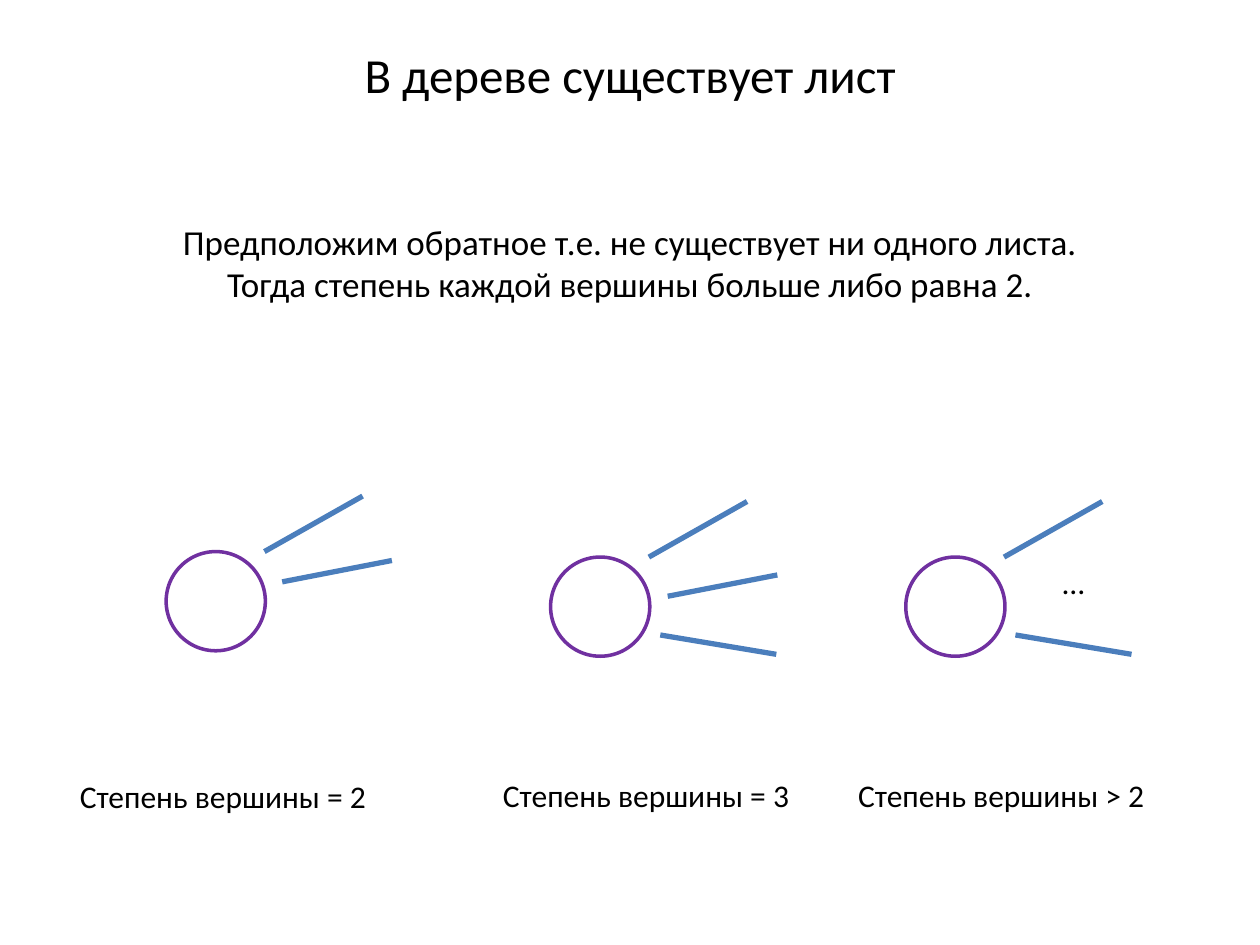
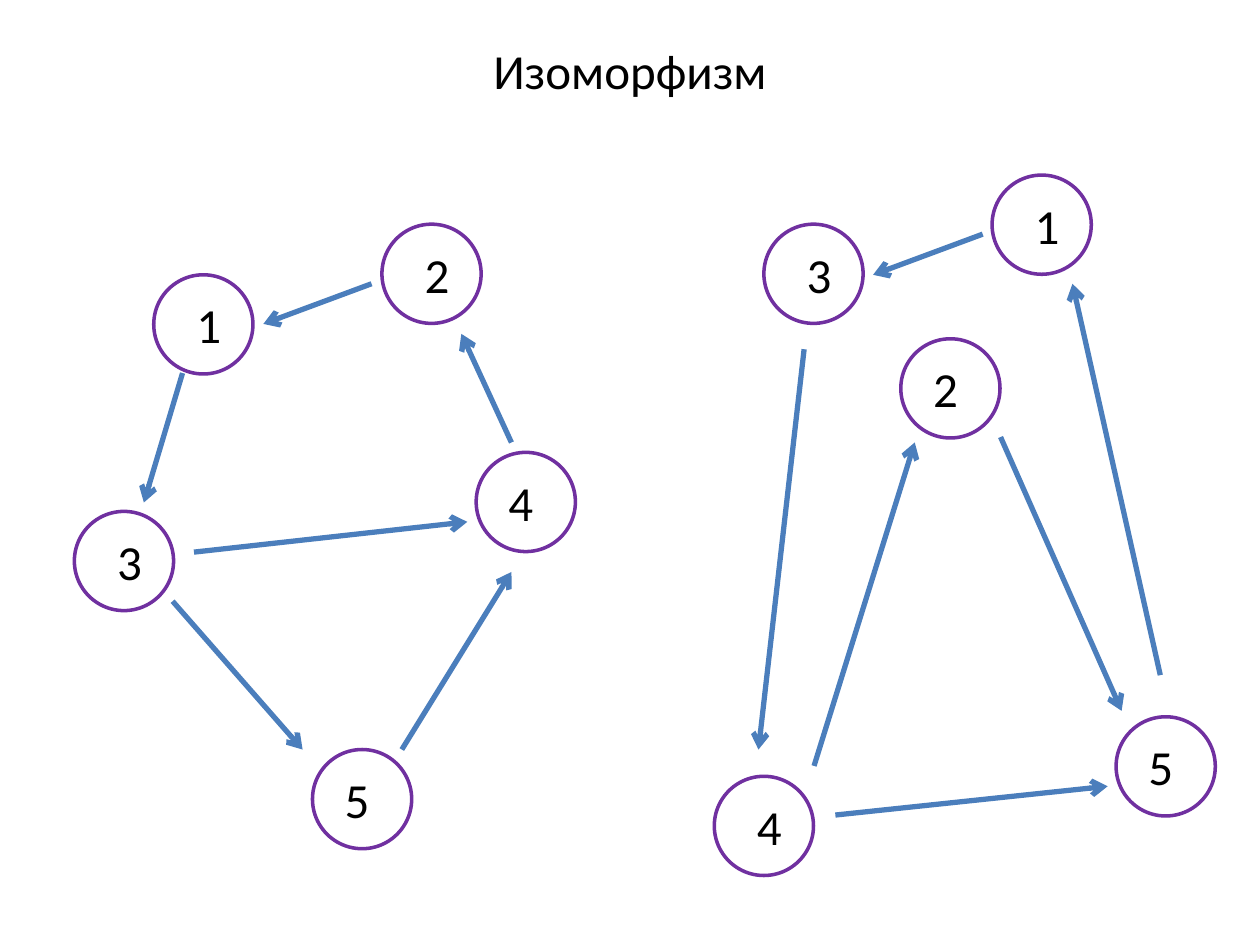
from lxml.etree import SubElement
from pptx import Presentation
from pptx.dml.color import RGBColor
from pptx.enum.shapes import MSO_CONNECTOR as Line, MSO_SHAPE as Shape
from pptx.enum.text import MSO_ANCHOR as Anchor, PP_ALIGN as Align
from pptx.oxml.ns import qn
from pptx.util import Cm, Pt

BLACK = RGBColor(0x00, 0x00, 0x00)
WHITE = RGBColor(0xFF, 0xFF, 0xFF)
PURPLE = RGBColor(0x70, 0x30, 0xA0)
BLUE = RGBColor(0x4B, 0x7E, 0xBC)
FONT = "Calibri"
WIDTH, HEIGHT = 25.4, 19.05
DIAMETER = 2
RIGHT_SHIFT, LEFT_SHIFT = 0.11, -0.1  # number offset from the vertex centre


class GraphDeck:
    """Holds the shared style and the current slide; lengths are in cm."""

    def __init__(self):
        self.prs = Presentation()
        self.prs.slide_width, self.prs.slide_height = Cm(WIDTH), Cm(HEIGHT)
        self.slide = None

    def new_slide(self, title, title_top=0):
        self.slide = self.prs.slides.add_slide(self.prs.slide_layouts[6])
        self.text([title], 0, title_top, WIDTH, 3, 28)

    def text(self, lines, left, top, width, height, size,
             align=Align.CENTER, anchor=Anchor.MIDDLE, inset=0.0, wrap=True):
        box = self.slide.shapes.add_textbox(Cm(left), Cm(top), Cm(width), Cm(height))
        frame = box.text_frame
        frame.word_wrap, frame.vertical_anchor = wrap, anchor
        frame.margin_left = frame.margin_right = Cm(2 * inset)
        frame.margin_top = frame.margin_bottom = Cm(inset)
        for i, line in enumerate(lines):
            paragraph = frame.add_paragraph() if i else frame.paragraphs[0]
            paragraph.alignment = align
            run = paragraph.add_run()
            run.text = line
            run.font.name, run.font.size = FONT, Pt(size)
            run.font.color.rgb = BLACK

    def caption(self, line, left, top, width=6.35):
        self.text([line], left, top, width, 1.02, 18, Align.LEFT, Anchor.TOP,
                  inset=0.13, wrap=False)

    def vertex(self, left, top, number=None, shift=0.0):
        circle = self.slide.shapes.add_shape(
            Shape.OVAL, Cm(left), Cm(top), Cm(DIAMETER), Cm(DIAMETER))
        circle.shadow.inherit = False
        circle.fill.solid()
        circle.fill.fore_color.rgb = WHITE
        circle.line.color.rgb, circle.line.width = PURPLE, Pt(2)
        if number:
            self.text([number], left + 0.5 + shift, top + 0.2, 1, 1.6, 28)

    def edge(self, start, end, arrow=False):
        edge = self.slide.shapes.add_connector(
            Line.STRAIGHT, *(Cm(value) for value in (*start, *end)))
        edge.line.color.rgb, edge.line.width = BLUE, Pt(3)
        if arrow:
            SubElement(edge.line._get_or_add_ln(), qn("a:tailEnd"), type="arrow")
        SubElement(edge._element.spPr, qn("a:effectLst"))

    def graph(self, vertices, arrows):
        for vertex in vertices:
            self.vertex(*vertex)
        for start, end in arrows:
            self.edge(start, end, arrow=True)


# Edge ends, measured from the top left corner of a vertex's frame
UPPER = (1.98, 0), (3.96, -1.12)
SECOND = (2.34, 0.61), (4.55, 0.18)
MIDDLE = (2.36, 0.79), (4.57, 0.36)
LOWER = (2.21, 1.57), (4.55, 1.96)

# Vertex left, top, caption left, caption top, degree, edges
DEGREES = [
    (3.35, 11.12, 1.35, 15.54, "= 2", [UPPER, SECOND]),
    (11.1, 11.23, 9.88, 15.52, "= 3", [UPPER, MIDDLE, LOWER]),
    (18.26, 11.23, 17.04, 15.52, "> 2", [UPPER, LOWER]),
]

# Vertices: left, top, number, number shift; arrows: start, end
LEFT_GRAPH = (
    [(3.1, 5.54, "1", RIGHT_SHIFT), (7.7, 4.52, "2", RIGHT_SHIFT),
     (1.5, 10.31, "3", RIGHT_SHIFT), (9.6, 9.12, "4", LEFT_SHIFT),
     (6.3, 15.11, "5", LEFT_SHIFT)],
    [((7.49, 5.72), (5.31, 6.53)), ((10.31, 8.92), (9.3, 6.73)),
     ((3.68, 7.52), (2.9, 10.13)), ((3.48, 12.12), (6.1, 15.11)),
     ((8.1, 15.11), (10.31, 11.53)), ((3.91, 11.13), (9.42, 10.52))],
)
RIGHT_GRAPH = (
    [(20, 3.53, "1", RIGHT_SHIFT), (18.16, 6.83, "2", LEFT_SHIFT),
     (15.4, 4.52, "3", RIGHT_SHIFT), (14.4, 15.65, "4", RIGHT_SHIFT),
     (22.5, 14.45, "5", LEFT_SHIFT)],
    [((19.81, 4.72), (17.6, 5.54)), ((23.39, 13.61), (21.62, 5.72)),
     ((16.21, 7.04), (15.29, 15.11)), ((16.41, 15.44), (18.44, 8.92)),
     ((20.17, 8.81), (22.61, 14.33)), ((16.84, 16.43), (22.33, 15.85))],
)


def main():
    deck = GraphDeck()

    # A tree has a leaf
    deck.new_slide("В дереве существует лист")
    deck.text(["Предположим обратное т.е. не существует ни одного листа.",
               "Тогда степень каждой вершины больше либо равна 2."],
              0, 4.32, WIDTH, 14.73, 20, anchor=Anchor.TOP, inset=0.13)
    for left, top, caption_left, caption_top, degree, edges in DEGREES:
        deck.vertex(left, top)
        for ends in edges:
            deck.edge(*((left + x, top + y) for x, y in ends))
        deck.caption(f"Степень вершины {degree}", caption_left, caption_top)
    deck.caption("…", 21.16, 11.23, 0.97)

    # Isomorphism of two graphs
    deck.new_slide("Изоморфизм", title_top=-0.08)
    for vertices, arrows in (LEFT_GRAPH, RIGHT_GRAPH):
        deck.graph(vertices, arrows)

    deck.prs.save("out.pptx")


if __name__ == "__main__":
    main()
